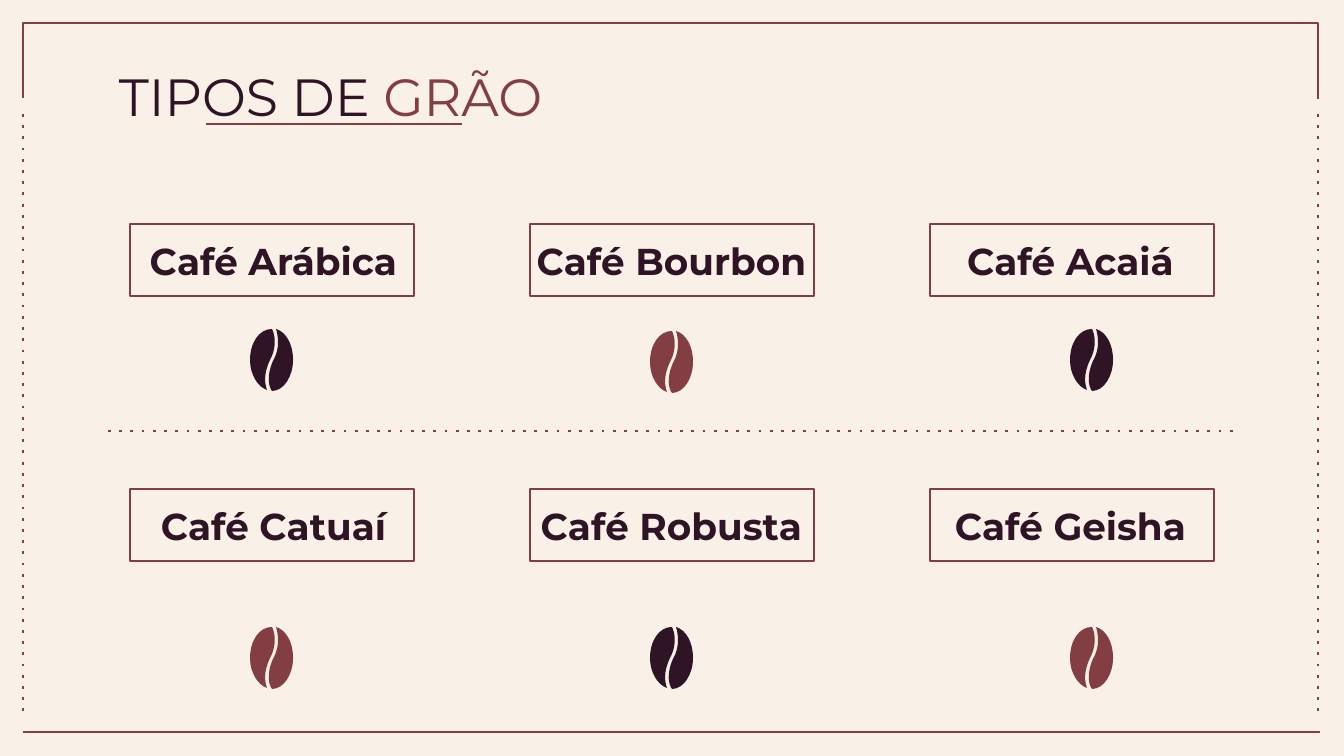
from lxml.etree import SubElement
from pptx import Presentation
from pptx.dml.color import RGBColor
from pptx.enum.shapes import MSO_CONNECTOR, MSO_SHAPE
from pptx.enum.text import MSO_ANCHOR, PP_ALIGN
from pptx.oxml.ns import qn
from pptx.util import Pt

PX = 914400 / 134.4
COLORS = {"cream": "F9F0E8", "wine": "823E43", "dark": "2F1425"}
FONT = "Montserrat"

BEAN_HALVES = [
    [(22, 0), (9, 0), (0, 14), (0, 31), (0, 46), (8, 58), (17, 61),
     (15, 55), (13, 46), (20, 31), (28, 16), (24, 4), (22, 0)],
    [(26, 0), (27, 3), (28, 8), (28, 13), (28, 19), (27, 25), (23, 32),
     (16, 48), (19, 58), (22, 62), (34, 62), (43, 47), (43, 31),
     (43, 15), (36, 3), (26, 0)],
]

VARIETIES = [
    [("Café Arábica", "dark", 120, 105), ("Café Bourbon", "wine", 120, 107),
     ("Café Acaiá", "dark", 140, 105)],
    [("Café Catuaí", "wine", 120, 138), ("Café Robusta", "dark", 120, 138),
     ("Café Geisha", "wine", 140, 138)],
]
LABEL_SHIFTS = [-21, -23, -24]


def px(length):
    return round(length * PX)


def color(name):
    return RGBColor.from_string(COLORS[name])


def style_outline(shape):
    shape.line.color.rgb = color("wine")
    shape.line.width = Pt(1.5)


def add_line(slide, x1, y1, x2, y2, dotted=False):
    connector = slide.shapes.add_connector(
        MSO_CONNECTOR.STRAIGHT, px(x1), px(y1), px(x2), px(y2))
    style_outline(connector)
    properties = connector._element.spPr
    if dotted:
        SubElement(properties.find(qn("a:ln")), qn("a:prstDash"), val="dot")
    SubElement(properties, qn("a:effectLst"))


def add_text(slide, left, top, width, height, runs, size, bold=False,
             align=PP_ALIGN.LEFT, anchor=MSO_ANCHOR.TOP):
    text_box = slide.shapes.add_textbox(px(left), px(top), px(width), px(height))
    frame = text_box.text_frame
    frame.word_wrap = True
    frame.vertical_anchor = anchor
    frame.margin_left = frame.margin_right = px(13)
    frame.margin_top = frame.margin_bottom = px(13)
    paragraph = frame.paragraphs[0]
    paragraph.alignment = align
    for text, color_name in runs:
        run = paragraph.add_run()
        run.text = text
        run.font.name = FONT
        run.font.size = Pt(size)
        run.font.bold = bold
        run.font.color.rgb = color(color_name)


def lines_to_curves(shape):
    outline = next(shape._element.iter(qn("a:path")))
    lines = outline.findall(qn("a:lnTo"))
    for index in range(0, len(lines), 3):
        group = lines[index:index + 3]
        curve = SubElement(outline, qn("a:cubicBezTo"))
        outline.replace(group[0], curve)
        for line in group:
            curve.append(line[0])
        for line in group[1:]:
            outline.remove(line)


def add_bean(slide, left, top, color_name):
    builder = slide.shapes.build_freeform(*BEAN_HALVES[0][0], scale=PX)
    builder.add_line_segments(BEAN_HALVES[0][1:], close=True)
    builder.move_to(*BEAN_HALVES[1][0])
    builder.add_line_segments(BEAN_HALVES[1][1:], close=True)
    bean = builder.convert_to_shape(px(left), px(top))
    lines_to_curves(bean)
    bean.shadow.inherit = False
    bean.fill.solid()
    bean.fill.fore_color.rgb = color(color_name)
    bean.line.fill.background()


def add_border(slide, left, top, width, height):
    right, bottom = left + width, top + height
    builder = slide.shapes.build_freeform(left, top + 75, scale=PX)
    builder.add_line_segments(
        [(left, top), (right, top), (right, top + 76)], close=False)
    corners = builder.convert_to_shape()
    corners.shadow.inherit = False
    corners.fill.background()
    style_outline(corners)
    for x in (left, right):
        add_line(slide, x, top + 91, x, bottom - 16, dotted=True)
    add_line(slide, left, bottom, right + 2, bottom)


def add_title(slide, left, top, width, height):
    add_text(slide, left, top, width, height,
             [("TIPOS DE ", "dark"), ("GRÃO", "wine")], size=28)
    add_line(slide, left + 100, top + 73, left + 356, top + 73)


def add_variety(slide, left, top, width, height, variety, label_shift):
    name, bean_color, bean_left, bean_top = variety
    box = slide.shapes.add_shape(
        MSO_SHAPE.RECTANGLE, px(left), px(top), px(width), px(height))
    box.shadow.inherit = False
    box.fill.background()
    style_outline(box)
    add_text(slide, left + label_shift, top + 7, width + 45, height - 12,
             [(name, "dark")], size=20, bold=True,
             align=PP_ALIGN.CENTER, anchor=MSO_ANCHOR.MIDDLE)
    add_bean(slide, left + bean_left, top + bean_top, bean_color)


def add_variety_grid(slide, left, top, column_pitch, row_pitch):
    for row, varieties in enumerate(VARIETIES):
        for column, variety in enumerate(varieties):
            add_variety(slide, left + column * column_pitch,
                        top + row * row_pitch, 284, 72, variety,
                        LABEL_SHIFTS[column])
    add_line(slide, left - 22, top + 207, left + 1108, top + 207, dotted=True)


def main():
    presentation = Presentation()
    presentation.slide_width = px(1344)
    presentation.slide_height = px(756)
    slide = presentation.slides.add_slide(presentation.slide_layouts[6])
    slide.background.fill.solid()
    slide.background.fill.fore_color.rgb = color("cream")
    add_border(slide, 23, 23, 1295, 709)
    add_title(slide, 106, 51, 1133, 85)
    add_variety_grid(slide, 130, 224, 400, 265)
    presentation.save("out.pptx")


if __name__ == "__main__":
    main()
